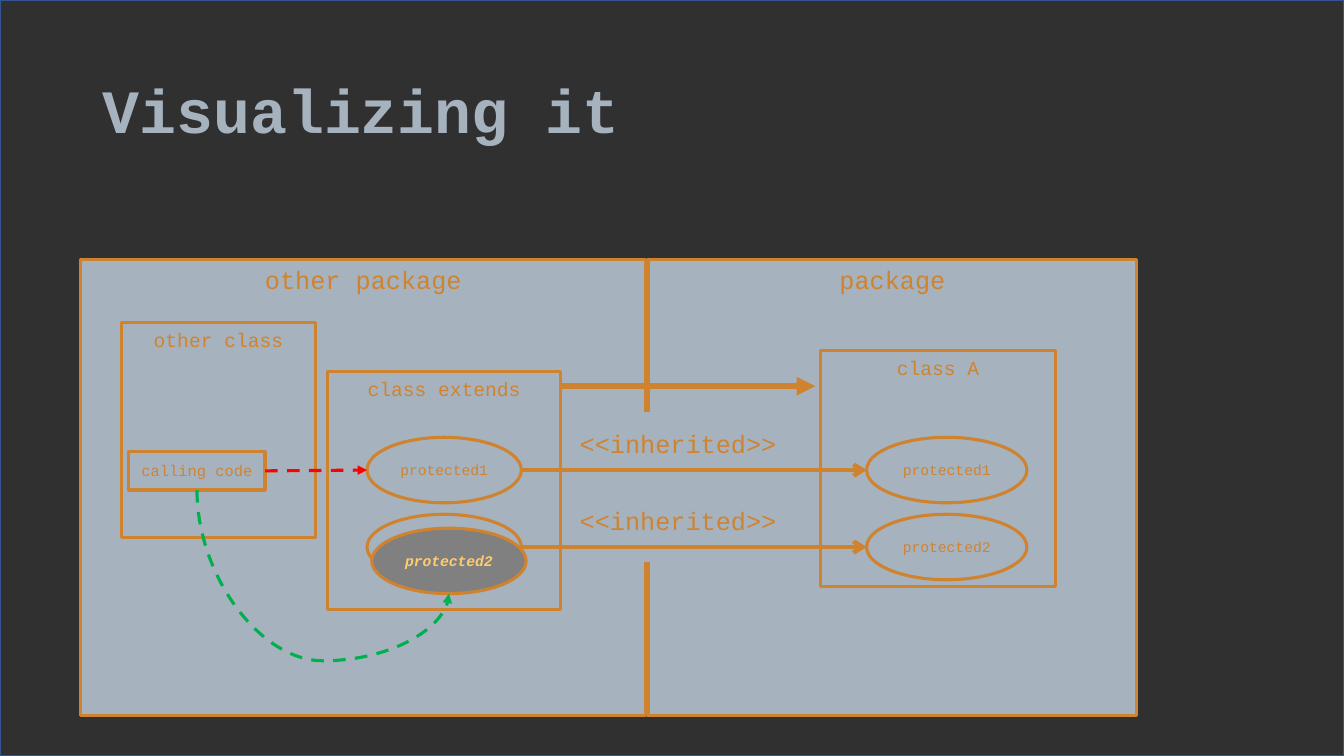
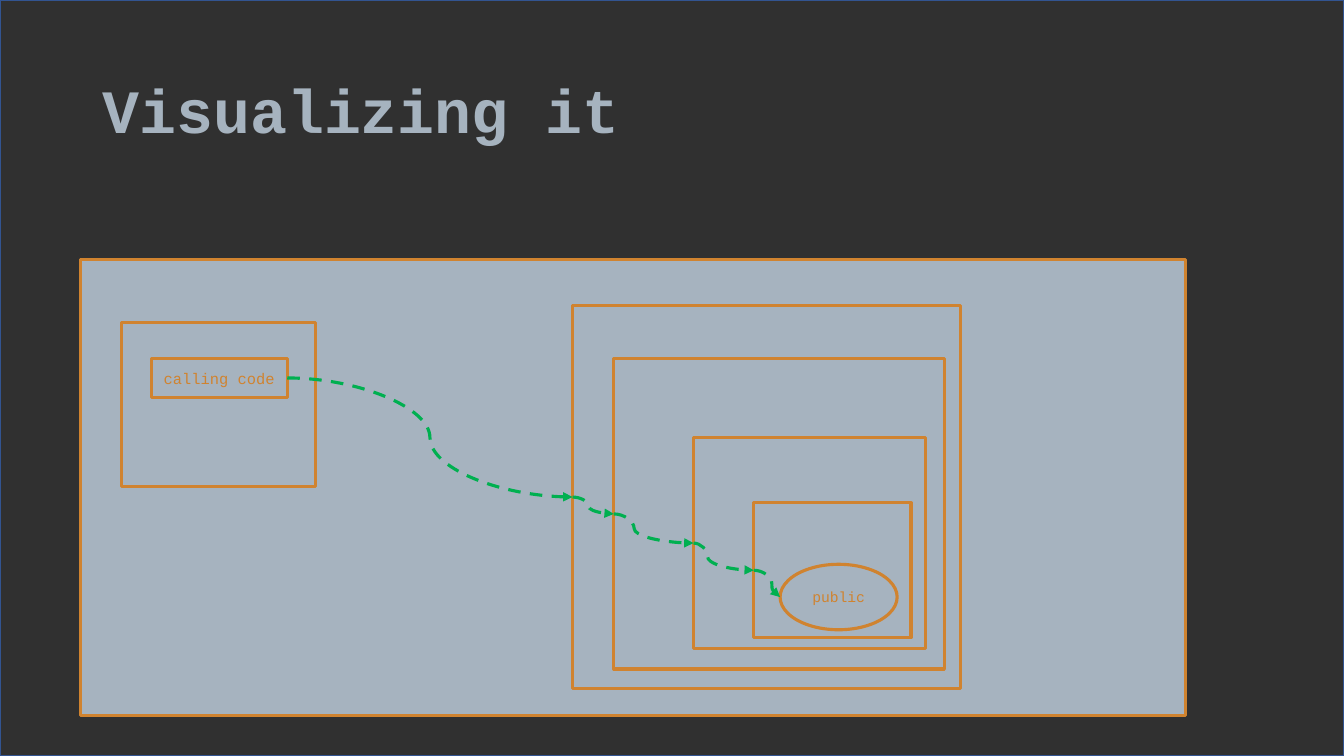
from itertools import pairwise

from lxml.etree import SubElement
from pptx import Presentation
from pptx.dml.color import RGBColor
from pptx.enum.dml import MSO_LINE
from pptx.enum.shapes import MSO_CONNECTOR, MSO_SHAPE
from pptx.enum.text import MSO_ANCHOR, PP_ALIGN
from pptx.oxml.ns import qn
from pptx.util import Cm, Pt

# Shared style
FONT = "Courier New"
BACKGROUND = RGBColor(0x40, 0x40, 0x40)
BACKDROP = RGBColor(0x30, 0x30, 0x30)
BACKDROP_EDGE = RGBColor(0x32, 0x54, 0x91)
PANEL = RGBColor(0xA6, 0xB3, 0xBF)
ORANGE = RGBColor(0xD0, 0x83, 0x2F)
GRAY = RGBColor(0x80, 0x80, 0x80)
YELLOW = RGBColor(0xFE, 0xCC, 0x71)
GREEN = RGBColor(0x00, 0xB0, 0x50)
RED = RGBColor(0xFF, 0x00, 0x00)
WIDTH, HEIGHT = 33.87, 19.05
TITLE = "Visualizing it"
TITLE_AREA = (2.33, 1.01, 29.21, 3.68)

# Protected access: areas are (left, top, width, height) in centimetres
PACKAGES = [
    ("other package", (2.03, 6.53, 14.25, 11.51)),
    ("package", (16.33, 6.53, 12.32, 11.51)),
]
BORDER_GAP = (15.7, 10.39, 1.14, 3.76)
SUBCLASS = ("class extends", (8.26, 9.37, 5.87, 5.99))
BASE_CLASS = ("class A", (20.68, 8.84, 5.92, 5.94))
OTHER_CLASS = ("other class", (3.07, 8.13, 4.88, 5.41))
EXTENDS_ARROW = ((14.12, 9.73), (20.55, 9.73))
MEMBERS = ["protected1", "protected2"]
MEMBER_TOP, MEMBER_STEP, MEMBER_HEIGHT = 11.02, 1.94, 1.65
SUBCLASS_MEMBER = (9.25, 3.89)  # left, width
BASE_MEMBER = (21.84, 4.04)
INHERITED = "<<inherited>>"
INHERITED_LEFT, INHERITED_RISE = 14.36, 0.35
OVERRIDE = ("protected2", (9.37, 13.31, 3.89, 1.65))
PROTECTED_CALLER = (3.25, 11.38, 3.43, 0.97)
OVERRIDE_BEND = 1.648

# Public access
CALLER = "calling code"
WORLD = (2.03, 6.53, 27.84, 11.51)
CALLER_CLASS = (3.07, 8.13, 4.88, 4.14)
PUBLIC_CALLER = (3.81, 9.04, 3.43, 0.97)
NESTED_SCOPES = [
    (14.43, 7.7, 9.78, 9.65),
    (15.47, 9.04, 8.33, 7.82),
    (17.48, 11.02, 5.84, 5.33),
    (19, 12.67, 3.96, 3.4),
]
PUBLIC_MEMBER = ("public", (19.66, 14.22, 2.95, 1.65))
BENDS = [0.5, 0.376, 0.255, 0.232, 0.686]


# Points on the edge of an area
def left_of(area):
    left, top, _, height = area
    return left, top + height / 2


def right_of(area):
    left, top, width, height = area
    return left + width, top + height / 2


def bottom_of(area):
    left, top, width, height = area
    return left + width / 2, top + height


# Drawing helpers
def write(shape, text, size, color, align=PP_ALIGN.CENTER,
          anchor=MSO_ANCHOR.MIDDLE, bold=False, italic=False):
    frame = shape.text_frame
    frame.word_wrap = True
    frame.vertical_anchor = anchor
    para = frame.paragraphs[0]
    para.text = text
    para.alignment = align
    font = para.font
    font.name, font.size, font.bold, font.italic = FONT, Pt(size), bold, italic
    font.color.rgb = color
    return para


def add_box(page, area, kind=MSO_SHAPE.RECTANGLE, fill=PANEL, line=ORANGE, weight=2.25):
    box = page.shapes.add_shape(kind, *map(Cm, area))
    box.shadow.inherit = False
    box.fill.solid()
    box.fill.fore_color.rgb = fill
    box.line.color.rgb = line
    box.line.width = Pt(weight)
    return box


def add_scope(page, text, area, size):
    write(add_box(page, area), text, size, ORANGE, anchor=MSO_ANCHOR.TOP)


def add_member(page, text, area, fill=PANEL, color=ORANGE, emphasis=False):
    oval = add_box(page, area, MSO_SHAPE.OVAL, fill)
    write(oval, text, 10.5, color, bold=emphasis, italic=emphasis)


def add_caller(page, area):
    write(add_box(page, area), CALLER, 11, ORANGE)


def add_arrow(page, start, end, color=ORANGE, weight=2.25, head="triangle",
              dashed=False, kind=MSO_CONNECTOR.STRAIGHT):
    arrow = page.shapes.add_connector(kind, *map(Cm, start + end))
    arrow.line.color.rgb = color
    arrow.line.width = Pt(weight)
    if dashed:
        arrow.line.dash_style = MSO_LINE.DASH
    properties = arrow.element.spPr
    SubElement(properties.find(qn("a:ln")), qn("a:tailEnd"), type=head)
    SubElement(properties, qn("a:effectLst"))
    return arrow


def add_curve(page, start, end, bend, vertical=False):
    if vertical:
        # A quarter turn about the centre makes the curve leave downwards
        middle_x, middle_y = (start[0] + end[0]) / 2, (start[1] + end[1]) / 2
        half_x, half_y = (end[0] - start[0]) / 2, (end[1] - start[1]) / 2
        start = (middle_x + half_y, middle_y - half_x)
        end = (middle_x - half_y, middle_y + half_x)
    curve = add_arrow(page, start, end, GREEN, dashed=True, kind=MSO_CONNECTOR.CURVE)
    properties = curve.element.spPr
    if vertical:
        properties.find(qn("a:xfrm")).set("rot", str(270 * 60000))
    geometry = properties.find(qn("a:prstGeom"))
    guides = geometry.find(qn("a:avLst"))
    if guides is None:
        guides = SubElement(geometry, qn("a:avLst"))
    SubElement(guides, qn("a:gd"), name="adj1", fmla=f"val {round(bend * 100000)}")


def add_page(deck):
    page = deck.slides.add_slide(deck.slide_layouts[6])
    page.background.fill.solid()
    page.background.fill.fore_color.rgb = BACKGROUND
    add_box(page, (0, 0, WIDTH, HEIGHT), fill=BACKDROP, line=BACKDROP_EDGE, weight=1)
    title = page.shapes.add_textbox(*map(Cm, TITLE_AREA))
    para = write(title, TITLE, 44, PANEL, PP_ALIGN.LEFT, bold=True)
    para.line_spacing = 0.9
    return page


def add_protected_page(deck):
    page = add_page(deck)
    for name, area in PACKAGES:
        add_scope(page, name, area, 18)
    add_box(page, BORDER_GAP, line=PANEL, weight=1)
    for name, area in (SUBCLASS, BASE_CLASS, OTHER_CLASS):
        add_scope(page, name, area, 14)
    add_arrow(page, *EXTENDS_ARROW, weight=4.5)

    # Each inherited member, in the subclass and in the base class
    inherited_areas = []
    for row, member in enumerate(MEMBERS):
        top = MEMBER_TOP + row * MEMBER_STEP
        sub_area, base_area = [
            (left, top, width, MEMBER_HEIGHT)
            for left, width in (SUBCLASS_MEMBER, BASE_MEMBER)
        ]
        inherited_areas.append(sub_area)
        add_member(page, member, sub_area)
        add_member(page, member, base_area)
        add_arrow(page, right_of(sub_area), left_of(base_area), weight=3, head="arrow")
        label = page.shapes.add_textbox(
            Cm(INHERITED_LEFT), Cm(top - INHERITED_RISE), Cm(5.51), Cm(1.02))
        write(label, INHERITED, 18, ORANGE, PP_ALIGN.LEFT, MSO_ANCHOR.TOP)

    # The override and the two calls
    name, override_area = OVERRIDE
    add_member(page, name, override_area, GRAY, YELLOW, emphasis=True)
    add_caller(page, PROTECTED_CALLER)
    add_curve(page, bottom_of(PROTECTED_CALLER), bottom_of(override_area),
              OVERRIDE_BEND, vertical=True)
    add_arrow(page, right_of(PROTECTED_CALLER), left_of(inherited_areas[0]),
              RED, dashed=True)


def add_public_page(deck):
    page = add_page(deck)
    for area in (WORLD, CALLER_CLASS, *NESTED_SCOPES):
        add_box(page, area)
    add_caller(page, PUBLIC_CALLER)
    add_member(page, *PUBLIC_MEMBER)

    # The call passes through every scope to the member
    stops = [right_of(PUBLIC_CALLER)]
    stops += [left_of(area) for area in (*NESTED_SCOPES, PUBLIC_MEMBER[1])]
    for (start, end), bend in zip(pairwise(stops), BENDS):
        add_curve(page, start, end, bend)


deck = Presentation()
deck.slide_width, deck.slide_height = Cm(WIDTH), Cm(HEIGHT)
add_protected_page(deck)
add_public_page(deck)
deck.save("out.pptx")
